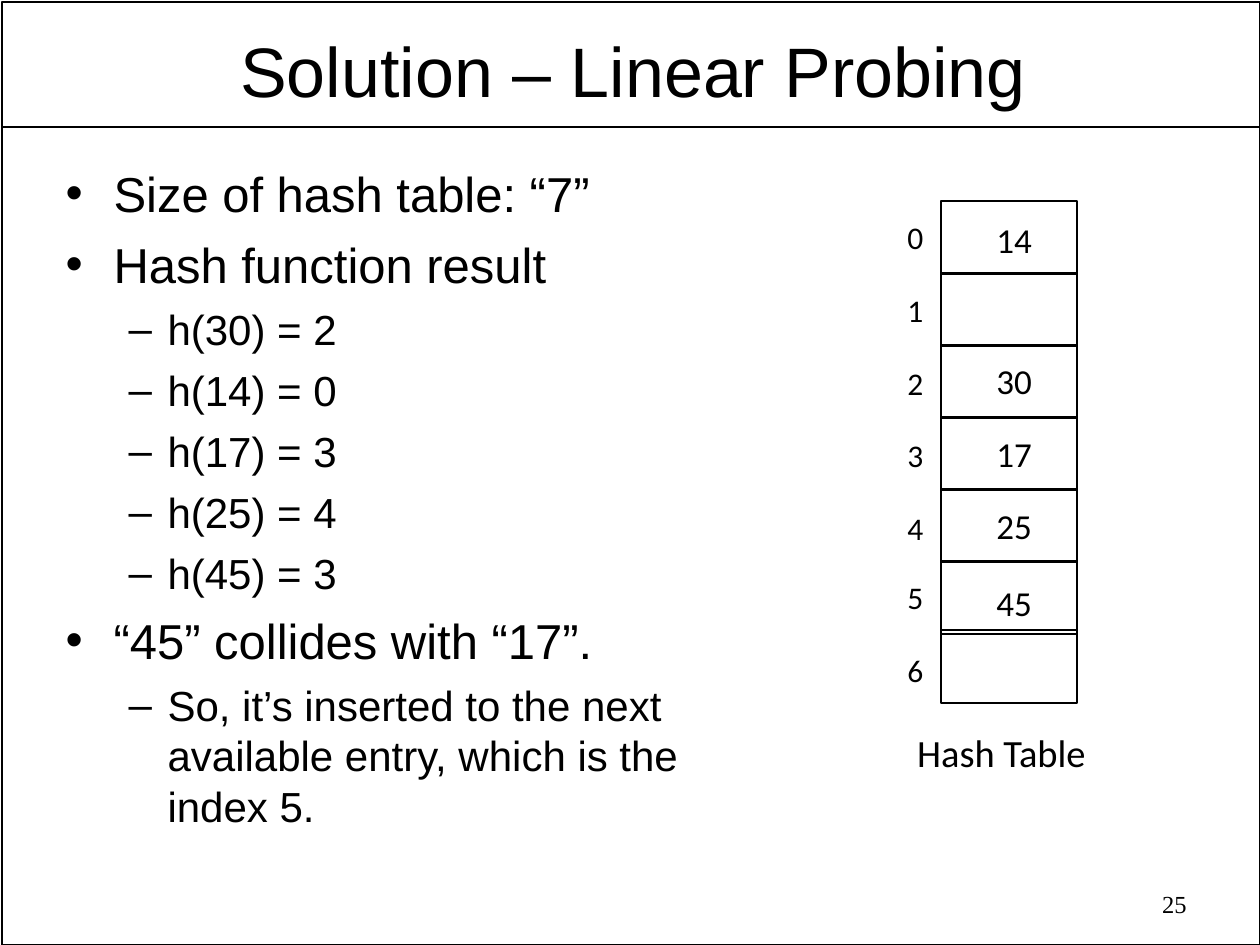
from dataclasses import dataclass

import pptx
import pptx.dml.color
import pptx.enum.shapes
import pptx.enum.text
import pptx.oxml
import pptx.util
from lxml import etree

ALIGN = pptx.enum.text.PP_ALIGN
ANCHOR = pptx.enum.text.MSO_ANCHOR
FIT = pptx.enum.text.MSO_AUTO_SIZE


@dataclass(frozen=True)
class Theme:
    ink: pptx.dml.color.RGBColor = pptx.dml.color.RGBColor(0, 0, 0)
    heading_font: str = "Arial"
    table_font: str = "Calibri"
    number_font: str = "Times New Roman"
    title_size: int = 40
    list_sizes: tuple = (28, 24)
    index_size: int = 18
    value_size: int = 20
    caption_size: int = 22
    number_size: int = 14
    frame_line: float = 1
    cell_line: float = 1.25


THEME = Theme()

POINTS = [
    (0, "Size of hash table: “7”"),
    (0, "Hash function result"),
    (1, "h(30) = 2"),
    (1, "h(14) = 0"),
    (1, "h(17) = 3"),
    (1, "h(25) = 4"),
    (1, "h(45) = 3"),
    (0, "“45” collides with “17”."),
    (1, "So, it’s inserted to the next available entry, which is the index 5."),
]

# Per slot: top of the cell, top of its index, stored value, top of the value
SLOTS = [
    (201, 212, "14", 212),
    (273, 285, None, None),
    (345, 358, "30", 353),
    (417, 430, "17", 426),
    (489, 503, "25", 498),
    (561, 572, "45", 575),
    (630, 645, None, None),
]


def px(length):
    return pptx.util.Emu(round(length * 914400 / 126))


def place(shape, left, top, width, height):
    shape.left, shape.top = px(left), px(top)
    shape.width, shape.height = px(width), px(height)


def add_span(para, text, font, size):
    span = para.add_run()
    span.text = text
    span.font.name = font
    span.font.size = pptx.util.Pt(size)
    span.font.color.rgb = THEME.ink


def set_title(page, text):
    title = page.shapes.title
    place(title, 68, 24, 1130, 91)
    frame = title.text_frame
    frame.auto_size = FIT.NONE
    frame.vertical_anchor = ANCHOR.MIDDLE
    frame.margin_left = frame.margin_right = px(9)
    frame.margin_top = frame.margin_bottom = px(4)
    para = frame.paragraphs[0]
    para.alignment = ALIGN.CENTER
    add_span(para, text, THEME.heading_font, THEME.title_size)


def set_list(page, points):
    body = page.placeholders[1]
    place(body, 53, 157, 685, 699)
    frame = body.text_frame
    frame.auto_size = FIT.NONE
    frame.vertical_anchor = ANCHOR.TOP
    indents = ((48, -48), (102, -39))
    gaps = (7, 6)
    for number, (level, text) in enumerate(points):
        para = frame.add_paragraph() if number else frame.paragraphs[0]
        para.level = level
        para.space_before = pptx.util.Pt(gaps[level] if number else 0)
        margin, hanging = indents[level]
        properties = para._p.get_or_add_pPr()
        properties.set("marL", str(px(margin)))
        properties.set("indent", str(px(hanging)))
        add_span(para, text, THEME.heading_font, THEME.list_sizes[level])


def add_label(page, text, bounds, font, size, align=ALIGN.LEFT, wrap=False):
    box = page.shapes.add_textbox(*map(px, bounds))
    box.text_frame.word_wrap = wrap
    box.text_frame.auto_size = FIT.NONE if wrap else FIT.SHAPE_TO_FIT_TEXT
    para = box.text_frame.paragraphs[0]
    para.alignment = align
    add_span(para, text, font, size)


def add_outline(page, bounds, weight):
    rectangle = page.shapes.add_shape(
        pptx.enum.shapes.MSO_SHAPE.RECTANGLE, *map(px, bounds))
    rectangle.shadow.inherit = False
    rectangle.fill.background()
    rectangle.line.color.rgb = THEME.ink
    rectangle.line.width = pptx.util.Pt(weight)


def add_rule(page, left, right, top):
    rule = page.shapes.add_connector(
        pptx.enum.shapes.MSO_CONNECTOR.STRAIGHT,
        px(left), px(top), px(right), px(top))
    rule.line.color.rgb = THEME.ink
    rule.line.width = pptx.util.Pt(THEME.frame_line)
    etree.SubElement(rule._element.spPr, pptx.oxml.ns.qn("a:effectLst"))


def add_hash_table(page, slots):
    for index, (cell_top, index_top, value, value_top) in enumerate(slots):
        add_outline(page, (941, cell_top, 136, 73), THEME.cell_line)
        add_label(page, str(index), (895, index_top, 41, 51),
                  THEME.table_font, THEME.index_size)
        if value:
            add_label(page, value, (984, value_top, 61, 55),
                      THEME.table_font, THEME.value_size)
    add_label(page, "Hash Table", (839, 723, 325, 59), THEME.table_font,
              THEME.caption_size, ALIGN.CENTER, True)


def main():
    deck = pptx.Presentation()
    deck.slide_width, deck.slide_height = px(1260), px(945)
    page = deck.slides.add_slide(deck.slide_layouts[1])
    add_outline(page, (2, 2, 1258, 943), THEME.frame_line)
    add_rule(page, 2, 1259, 127)
    set_title(page, "Solution – Linear Probing")
    set_list(page, POINTS)
    add_hash_table(page, SLOTS)
    add_label(page, "25", (904, 883, 295, 45), THEME.number_font,
              THEME.number_size, ALIGN.RIGHT, True)
    deck.save("out.pptx")


if __name__ == "__main__":
    main()
